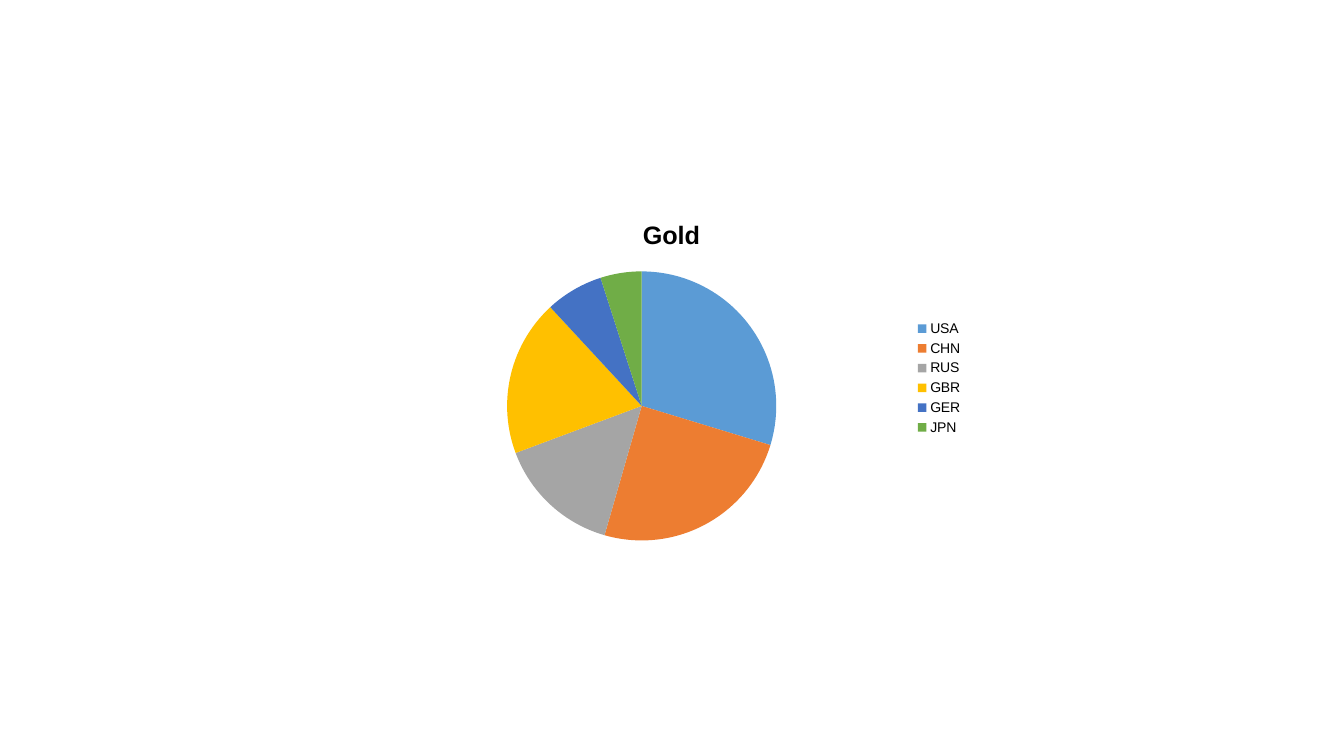
from pptx import Presentation
from pptx.chart.data import CategoryChartData
from pptx.dml.color import RGBColor
from pptx.enum.chart import XL_CHART_TYPE, XL_LEGEND_POSITION
from pptx.util import Inches, Pt

HEADING = "Gold"
COUNTRIES = {
    "USA": "5B9BD5",
    "CHN": "ED7D31",
    "RUS": "A5A5A5",
    "GBR": "FFC000",
    "GER": "4472C4",
    "JPN": "70AD47",
}
MEDALS = {
    "Series 1": (30, 25, 15, 19, 7, 5),
    "Series 2": (22, 20, 20, 13, 14, 11),
    "Series 3": (22, 17, 24, 14, 10, 13),
}


def style_font(font, size, bold=False):
    font.name = "Arial"
    font.size = Pt(size)
    font.bold = bold
    font.color.rgb = RGBColor.from_string("000000")


def add_medal_pie(slide):
    medal_data = CategoryChartData()
    medal_data.categories = list(COUNTRIES)
    for name, counts in MEDALS.items():
        medal_data.add_series(name, counts)
    pie = slide.shapes.add_chart(
        XL_CHART_TYPE.PIE, Inches(3.67), Inches(2), Inches(5.98), Inches(3.5), medal_data
    ).chart
    pie.replace_data(medal_data)
    style_font(pie.font, 10)

    pie.has_title = True
    heading = pie.chart_title.text_frame.paragraphs[0].add_run()
    heading.text = HEADING
    style_font(heading.font, 18, bold=True)
    pie.chart_title.include_in_layout = False

    pie.has_legend = True
    pie.legend.position = XL_LEGEND_POSITION.RIGHT
    pie.legend.include_in_layout = False
    style_font(pie.legend.font, 10)

    pie.plots[0].vary_by_categories = True
    for medals in pie.plots[0].series:
        for index, color in enumerate(COUNTRIES.values()):
            slice_fill = medals.points[index].format.fill
            slice_fill.solid()
            slice_fill.fore_color.rgb = RGBColor.from_string(color)


def main():
    deck = Presentation()
    deck.slide_width = Inches(13.33)
    deck.slide_height = Inches(7.5)
    slide = deck.slides.add_slide(deck.slide_layouts[6])
    add_medal_pie(slide)
    deck.save("out.pptx")


if __name__ == "__main__":
    main()
